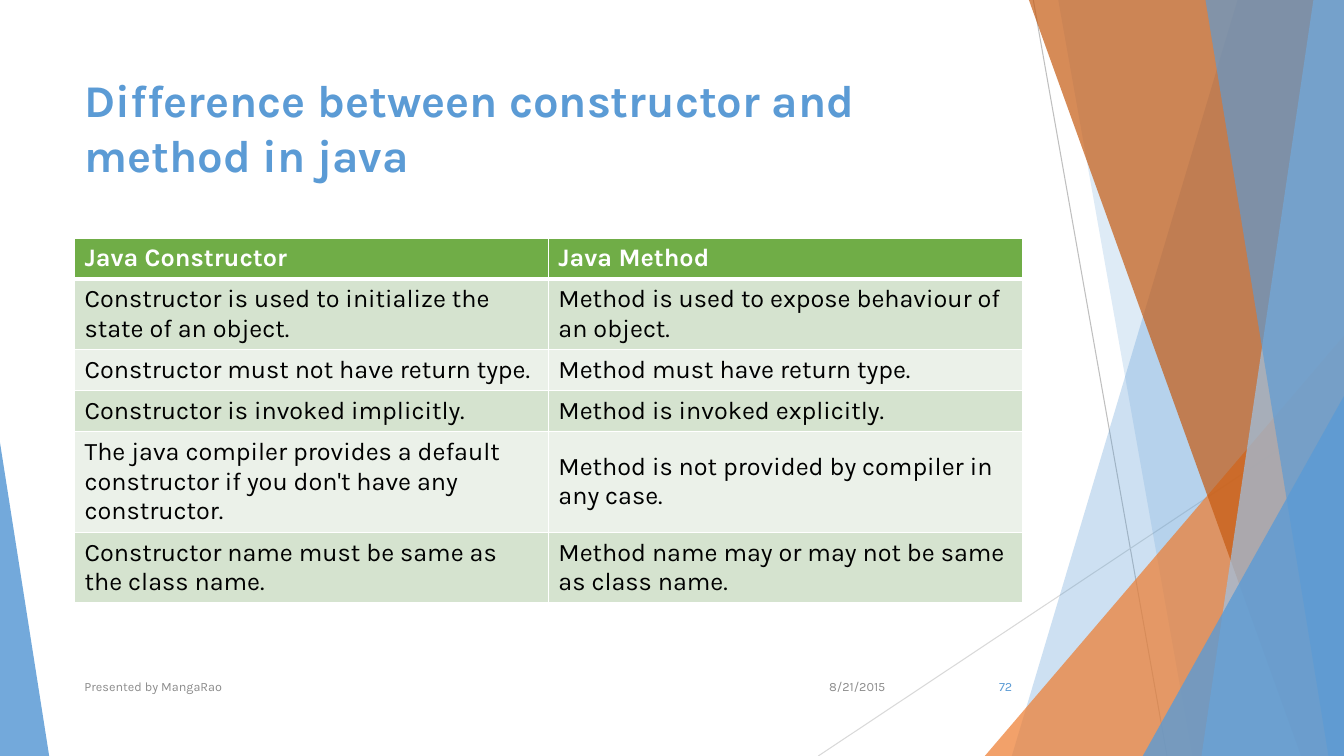
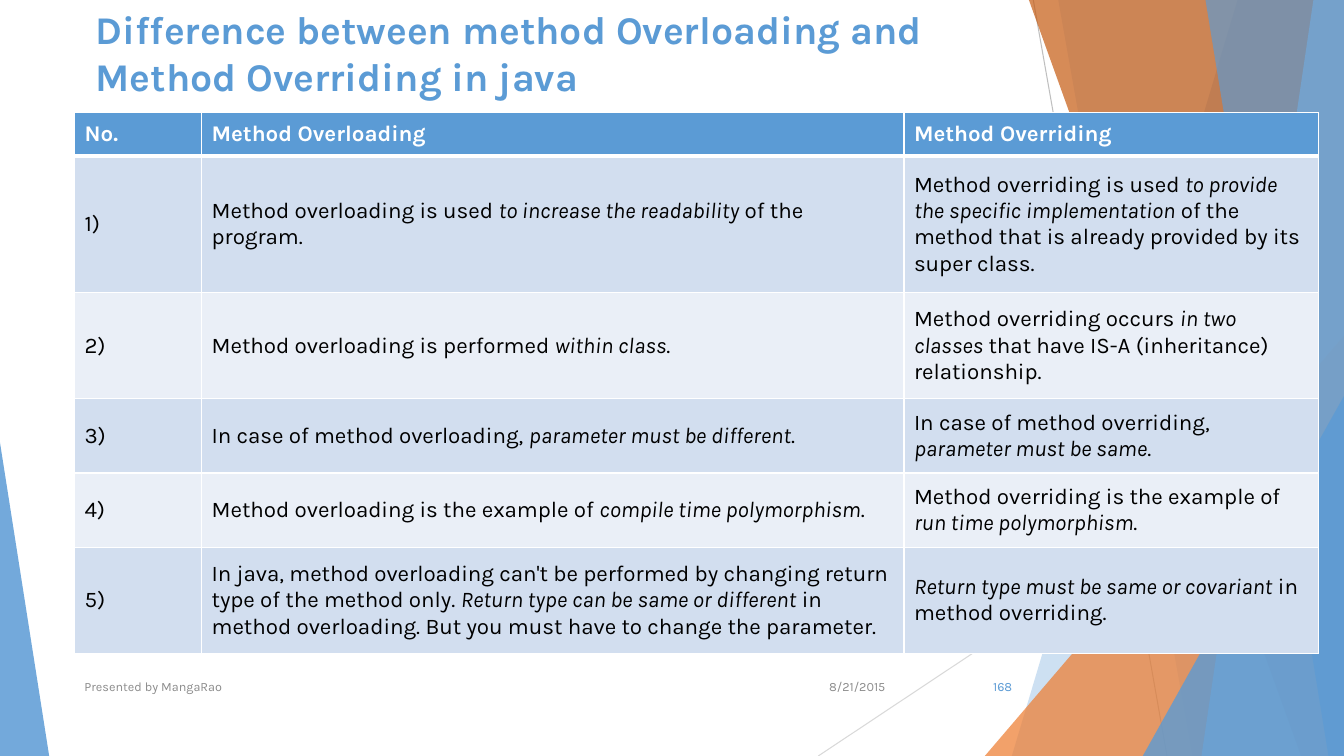
from dataclasses import dataclass

from lxml import etree
from pptx import Presentation
from pptx import util as u
from pptx.dml import color
from pptx.enum import shapes, text
from pptx.oxml import ns


@dataclass(frozen=True)
class Theme:
    font: str = "Karla"
    blue: str = "5B9BD5"
    pale_blue: str = "9DC3E6"
    orange: str = "ED7D31"
    rust: str = "C55A11"
    white: str = "FFFFFF"
    black: str = "000000"
    grey: str = "8C8C8C"
    line_dark: str = "BFBFBF"
    line_light: str = "D9D9D9"
    green_table: tuple = ("70AD47", "D5E3CF", "EBF1E9")
    blue_table: tuple = ("5B9BD5", "D2DEEF", "EAEFF7")
    footer_size: float = 9
    hairline: float = 0.75
    border: float = 1
    header_border: float = 3


@dataclass(frozen=True)
class Box:
    left: float
    top: float
    width: float
    height: float

    @property
    def right(self):
        return self.left + self.width

    @property
    def bottom(self):
        return self.top + self.height

    def lengths(self):
        return [u.Cm(value) for value in (self.left, self.top, self.width, self.height)]


THEME = Theme()
PAGE = Box(0, 0, 33.87, 19.05)
FOOTER = Box(1.88, 16.79, 23.88, 1.02)


def rgb(value):
    return color.RGBColor.from_string(value)


def style_run(run, size, ink, bold=False, italic=False):
    run.font.name = THEME.font
    run.font.size = u.Pt(size)
    run.font.color.rgb = rgb(ink)
    run.font.bold = bold
    run.font.italic = italic


def add_text(slide, box, content, size, ink, bold=False,
             align=text.PP_ALIGN.LEFT, anchor=text.MSO_ANCHOR.MIDDLE):
    frame = slide.shapes.add_textbox(*box.lengths()).text_frame
    frame.word_wrap = True
    frame.vertical_anchor = anchor
    frame.text = content
    paragraph = frame.paragraphs[0]
    paragraph.alignment = align
    style_run(paragraph.runs[0], size, ink, bold)


def paint(shape, fill, opacity):
    shape.shadow.inherit = False
    shape.fill.solid()
    shape.fill.fore_color.rgb = rgb(fill)
    shape.line.fill.background()
    fill_color = shape.element.spPr.find(ns.qn("a:solidFill"))[0]
    etree.SubElement(fill_color, ns.qn("a:alpha"), val=str(opacity * 1000))


def add_hairline(slide, start, end, ink):
    points = [u.Cm(value) for value in start + end]
    connector = slide.shapes.add_connector(shapes.MSO_CONNECTOR.STRAIGHT, *points)
    connector.line.color.rgb = rgb(ink)
    connector.line.width = u.Pt(THEME.hairline)
    etree.SubElement(connector.element.spPr, ns.qn("a:effectLst"))


def add_band(slide, page, top_x, bottom_x, fill, opacity):
    outline = [(top_x, page.top), (page.right, page.top),
               (page.right, page.bottom), (bottom_x, page.bottom)]
    points = [(u.Cm(x), u.Cm(y)) for x, y in outline]
    builder = slide.shapes.build_freeform(*points[0])
    builder.add_line_segments(points[1:], close=True)
    paint(builder.convert_to_shape(), fill, opacity)


def add_wedge(slide, box, apex, fill, opacity):
    wedge = slide.shapes.add_shape(shapes.MSO_SHAPE.ISOSCELES_TRIANGLE, *box.lengths())
    wedge.adjustments[0] = apex
    paint(wedge, fill, opacity)


def add_right_wedge(slide, page, left, top, fill, opacity):
    box = Box(left, top, page.right - left, page.bottom - top)
    add_wedge(slide, box, 1, fill, opacity)


def add_backdrop(slide, page):
    add_hairline(slide, (26.04, page.top), (29.41, page.bottom), THEME.line_dark)
    add_hairline(slide, (page.right, 10.24), (20.62, page.bottom), THEME.line_light)
    facets = [
        (add_band, 31.19, 25.5, THEME.blue, 30),
        (add_band, 26.67, 30.05, THEME.blue, 20),
        (add_right_wedge, 24.82, 8.46, THEME.orange, 72),
        (add_band, 25.93, 32.79, THEME.rust, 70),
        (add_band, 33.1, 30.28, THEME.pale_blue, 70),
        (add_band, 30.38, 33.48, THEME.blue, 65),
        (add_right_wedge, 28.8, 9.98, THEME.blue, 80),
    ]
    for draw, *values in facets:
        draw(slide, page, *values)
    add_wedge(slide, Box(page.left, page.bottom - 7.9, 1.24, 7.9), 0, THEME.blue, 85)


def add_footer(slide, box, number):
    right = text.PP_ALIGN.RIGHT
    date_box = Box(box.right - 5.74, box.top, 2.54, box.height)
    number_box = Box(box.right - 1.9, box.top, 1.9, box.height)
    presenter_box = Box(box.left, box.top, 17.5, box.height)
    size = THEME.footer_size
    add_text(slide, date_box, "8/21/2015", size, THEME.grey, align=right)
    add_text(slide, presenter_box, "Presented by MangaRao", size, THEME.grey)
    add_text(slide, number_box, str(number), size, THEME.blue, align=right)


def set_borders(cell, row_index):
    top = THEME.header_border if row_index == 1 else THEME.border
    bottom = THEME.header_border if row_index == 0 else THEME.border
    widths = {"lnL": THEME.border, "lnR": THEME.border, "lnT": top, "lnB": bottom}
    properties = cell._tc.get_or_add_tcPr()
    for tag, width in widths.items():
        line = etree.SubElement(properties, ns.qn("a:" + tag), w=str(u.Pt(width)))
        fill = etree.SubElement(line, ns.qn("a:solidFill"))
        etree.SubElement(fill, ns.qn("a:srgbClr"), val=THEME.white)


def fill_cell(cell, content, row_index, size, palette):
    header = row_index == 0
    set_borders(cell, row_index)
    cell.fill.solid()
    cell.fill.fore_color.rgb = rgb(palette[0 if header else 2 - row_index % 2])
    cell.vertical_anchor = text.MSO_ANCHOR.MIDDLE
    paragraph = cell.text_frame.paragraphs[0]
    for index, part in enumerate(content.split("*")):
        if part:
            run = paragraph.add_run()
            run.text = part
            ink = THEME.white if header else THEME.black
            style_run(run, size, ink, bold=header, italic=index % 2 == 1)


def add_comparison(slide, left, top, widths, heights, rows, size, palette):
    box = Box(left, top, sum(widths), sum(heights))
    table = slide.shapes.add_table(len(rows), len(widths), *box.lengths()).table
    for column, width in zip(table.columns, widths):
        column.width = u.Cm(width)
    for row_index, (row, height, contents) in enumerate(zip(table.rows, heights, rows)):
        row.height = u.Cm(height)
        for cell, content in zip(row.cells, contents):
            fill_cell(cell, content, row_index, size, palette)


def add_comparison_slide(presentation, title, title_box, title_size, number, **table):
    slide = presentation.slides.add_slide(presentation.slide_layouts[6])
    add_backdrop(slide, PAGE)
    add_text(slide, title_box, title, title_size, THEME.blue, bold=True,
             anchor=text.MSO_ANCHOR.TOP)
    add_comparison(slide, FOOTER.left, **table)
    add_footer(slide, FOOTER, number)


CONSTRUCTOR_ROWS = [
    ("Java Constructor", "Java Method"),
    ("Constructor is used to initialize the state of an object.",
     "Method is used to expose behaviour of an object."),
    ("Constructor must not have return type.", "Method must have return type."),
    ("Constructor is invoked implicitly.", "Method is invoked explicitly."),
    ("The java compiler provides a default constructor if you don't have any constructor.",
     "Method is not provided by compiler in any case."),
    ("Constructor name must be same as the class name.",
     "Method name may or may not be same as class name."),
]

OVERLOADING_ROWS = [
    ("No.", "Method Overloading", "Method Overriding"),
    ("1)", "Method overloading is used *to increase the readability* of the program.",
     "Method overriding is used *to provide the specific implementation* of the method "
     "that is already provided by its super class."),
    ("2)", "Method overloading is performed *within class*.",
     "Method overriding occurs *in two classes* that have IS-A (inheritance) relationship."),
    ("3)", "In case of method overloading, *parameter must be different*.",
     "In case of method overriding, *parameter must be same*."),
    ("4)", "Method overloading is the example of *compile time polymorphism*.",
     "Method overriding is the example of *run time polymorphism*."),
    ("5)", "In java, method overloading can't be performed by changing return type of the "
     "method only. *Return type can be same or different* in method overloading. "
     "But you must have to change the parameter.",
     "*Return type must be same or covariant* in method overriding."),
]


def main():
    presentation = Presentation()
    presentation.slide_width = u.Cm(PAGE.width)
    presentation.slide_height = u.Cm(PAGE.height)
    add_comparison_slide(
        presentation, "Difference between constructor and method in java",
        Box(1.88, 1.7, 23.88, 3.66), 32.4, 72,
        top=6, widths=[11.94] * 2, heights=[1.03, 1.74, 1.03, 1.03, 2.47, 1.75],
        rows=CONSTRUCTOR_ROWS, size=18, palette=THEME.green_table)
    add_comparison_slide(
        presentation, "Difference between method Overloading and Method Overriding in java",
        Box(2.16, 0, 23.88, 2.54), 28, 168,
        top=2.84, widths=[3.2, 17.7, 10.44], heights=[1.09, 3.45, 2.66, 1.88, 1.88, 2.66],
        rows=OVERLOADING_ROWS, size=16, palette=THEME.blue_table)
    presentation.save("out.pptx")


if __name__ == "__main__":
    main()
